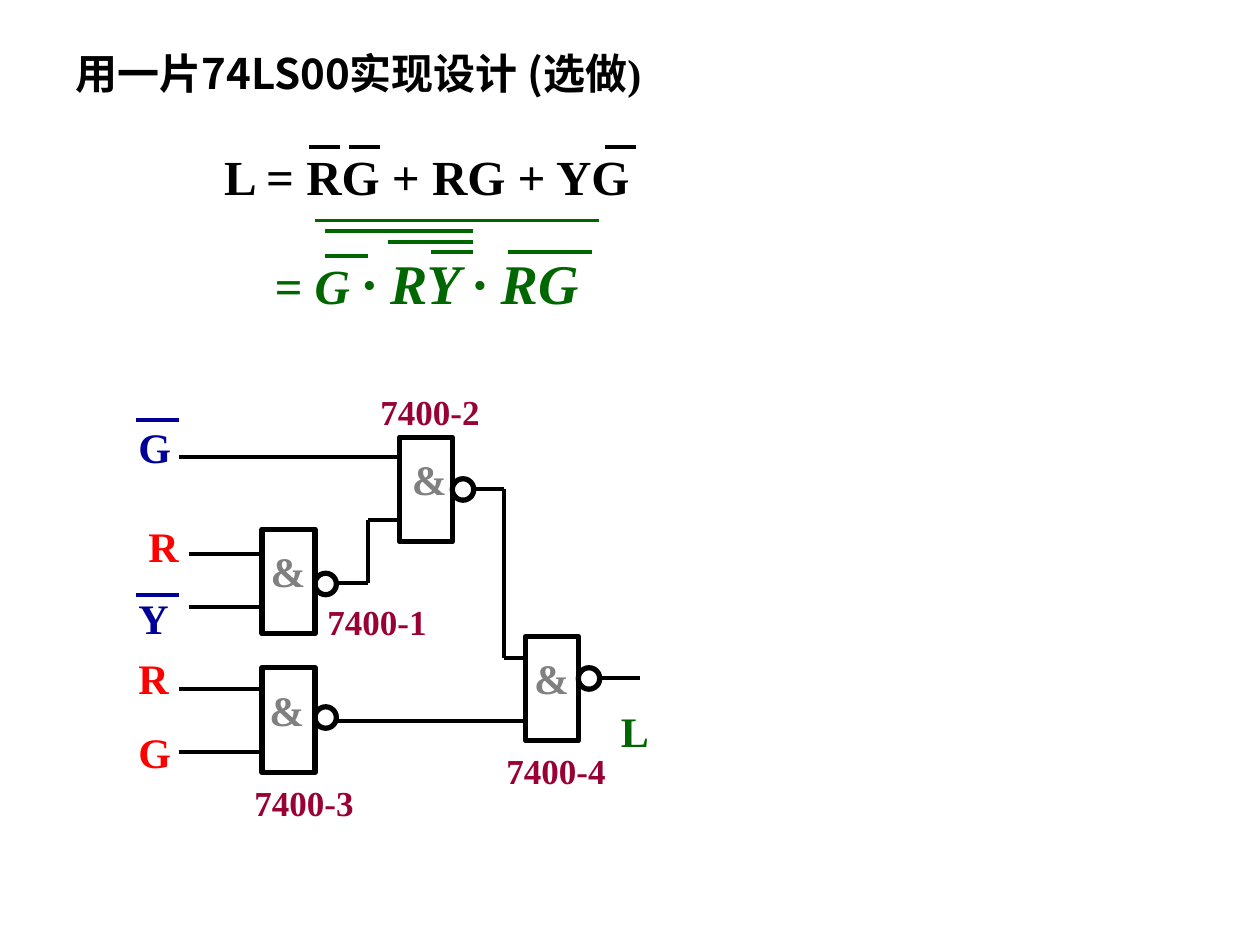
from itertools import pairwise

from lxml import etree
from pptx import Presentation
from pptx.dml.color import RGBColor
from pptx.enum import shapes, text
from pptx.oxml.ns import qn
from pptx.util import Inches, Pt

COLORS = {"ink": "000000", "green": "006600", "gray": "808080",
          "blue": "000099", "red": "FF0000", "maroon": "990033"}
SERIF = "Times New Roman"
SANS = "Noto Sans CJK SC"
GATE_WIDTH, GATE_HEIGHT, BUBBLE = 0.42, 0.83, 0.17

TITLE_RUNS = [("用一片74LS00实现设计 (", SANS), ("选做)", SERIF)]

# left, top, width, wrap, color, italic, runs of (text, size)
FORMULAS = [
    (1.68, 1.11, 3.45, False, "ink", False, [("L = RG + RG + YG", 28)]),
    (2.08, 1.92, 3.42, True, "green", True, [("= G ", 28), ("· RY · RG", 32)]),
]

# color, y, left, right
OVERBARS = [
    ("ink", 1.17, 2.45, 2.7), ("ink", 1.17, 2.77, 3.02), ("ink", 1.17, 4.8, 5.05),
    ("green", 2, 3.42, 3.75), ("green", 1.92, 3.08, 3.75),
    ("green", 1.83, 2.58, 3.75), ("green", 2, 4.03, 4.7),
    ("green", 1.75, 2.5, 4.75), ("green", 2.03, 2.58, 2.92),
    ("blue", 3.33, 1.08, 1.42), ("blue", 4.72, 1.08, 1.42),
]

# name, name position, gate left, gate top, bubble top, "&" left
GATES = [
    ("7400-2", (2.92, 3.05), 3.17, 3.47, 3.8, 3.17),
    ("7400-1", (2.5, 4.72), 2.08, 4.2, 4.55, 2.05),
    ("7400-3", (1.92, 6.15), 2.08, 5.3, 5.61, 2.04),
    ("7400-4", (3.92, 5.9), 4.17, 5.05, 5.3, 4.14),
]

# text, left, top, color
SIGNALS = [
    ("G", 1, 3.3, "blue"), ("R", 1.08, 4.08, "red"), ("Y", 1, 4.65, "blue"),
    ("R", 1, 5.13, "red"), ("G", 1, 5.72, "red"), ("L", 4.83, 5.55, "green"),
]

# Corner points of each wire
WIRES = [
    [(1.42, 3.63), (3.17, 3.63)],
    [(1.5, 4.4), (2.08, 4.4)],
    [(1.5, 4.82), (2.08, 4.82)],
    [(1.42, 5.47), (2.08, 5.47)],
    [(1.42, 5.97), (2.08, 5.97)],
    [(2.67, 4.63), (2.92, 4.63), (2.92, 4.13), (3.17, 4.13)],
    [(3.75, 3.88), (4, 3.88), (4, 5.22), (4.17, 5.22)],
    [(2.67, 5.72), (4.17, 5.72)],
    [(4.75, 5.38), (5.08, 5.38)],
]


def rgb(color):
    return RGBColor.from_string(COLORS[color])


def add_run(paragraph, content, size, color, font=SERIF, italic=False):
    run = paragraph.add_run()
    run.text = content
    run.font.size = Pt(size)
    run.font.bold = True
    run.font.italic = italic
    run.font.color.rgb = rgb(color)
    run.font.name = font
    east_asian = etree.SubElement(run.font._element, qn("a:ea"))
    east_asian.set("typeface", SANS)


def add_label(slide, left, top, width, height, runs, color, wrap=True, italic=False):
    label = slide.shapes.add_textbox(*map(Inches, (left, top, width, height)))
    label.text_frame.word_wrap = wrap
    for content, size in runs:
        add_run(label.text_frame.paragraphs[0], content, size, color, italic=italic)


def add_line(slide, start, end, color):
    line = slide.shapes.add_connector(
        shapes.MSO_CONNECTOR.STRAIGHT, *map(Inches, (*start, *end)))
    line.line.color.rgb = rgb(color)
    line.line.width = Pt(2.25)
    etree.SubElement(line._element.spPr, qn("a:effectLst"))


def add_outline(slide, kind, left, top, width, height):
    outline = slide.shapes.add_shape(kind, *map(Inches, (left, top, width, height)))
    outline.shadow.inherit = False
    outline.fill.background()
    outline.line.color.rgb = rgb("ink")
    outline.line.width = Pt(3)


def add_title(slide):
    title = slide.shapes.title
    title.left, title.top, title.width, title.height = map(Inches, (0.5, 0.33, 4.81, 0.9))
    frame = title.text_frame
    frame.auto_size = text.MSO_AUTO_SIZE.NONE
    frame.vertical_anchor = text.MSO_ANCHOR.TOP
    frame.word_wrap = True
    paragraph = frame.paragraphs[0]
    paragraph.alignment = text.PP_ALIGN.LEFT
    paragraph.space_before = Pt(0)
    for content, font in TITLE_RUNS:
        add_run(paragraph, content, 24, "ink", font)


def add_gate(slide, name, name_at, left, top, bubble_top, sign_left):
    add_outline(slide, shapes.MSO_SHAPE.RECTANGLE, left, top, GATE_WIDTH, GATE_HEIGHT)
    add_label(slide, sign_left, top + 0.08, GATE_WIDTH, 0.5, [("&", 24)], "gray")
    add_outline(slide, shapes.MSO_SHAPE.OVAL, left + GATE_WIDTH, bubble_top, BUBBLE, BUBBLE)
    add_label(slide, *name_at, 0.99, 0.44, [(name, 20)], "maroon", wrap=False)


def main():
    deck = Presentation()
    deck.slide_width, deck.slide_height = Inches(10), Inches(7.5)
    slide = deck.slides.add_slide(deck.slide_layouts.get_by_name("Title Only"))
    add_title(slide)
    for left, top, width, wrap, color, italic, runs in FORMULAS:
        height = 0.1 + max(size for _, size in runs) / 60
        add_label(slide, left, top, width, height, runs, color, wrap, italic)
    for gate in GATES:
        add_gate(slide, *gate)
    for signal, left, top, color in SIGNALS:
        add_label(slide, left, top, 0.5, 0.5, [(signal, 24)], color)
    for wire in WIRES:
        for start, end in pairwise(wire):
            add_line(slide, start, end, "ink")
    for color, y, left, right in OVERBARS:
        add_line(slide, (left, y), (right, y), color)
    deck.save("out.pptx")


if __name__ == "__main__":
    main()
